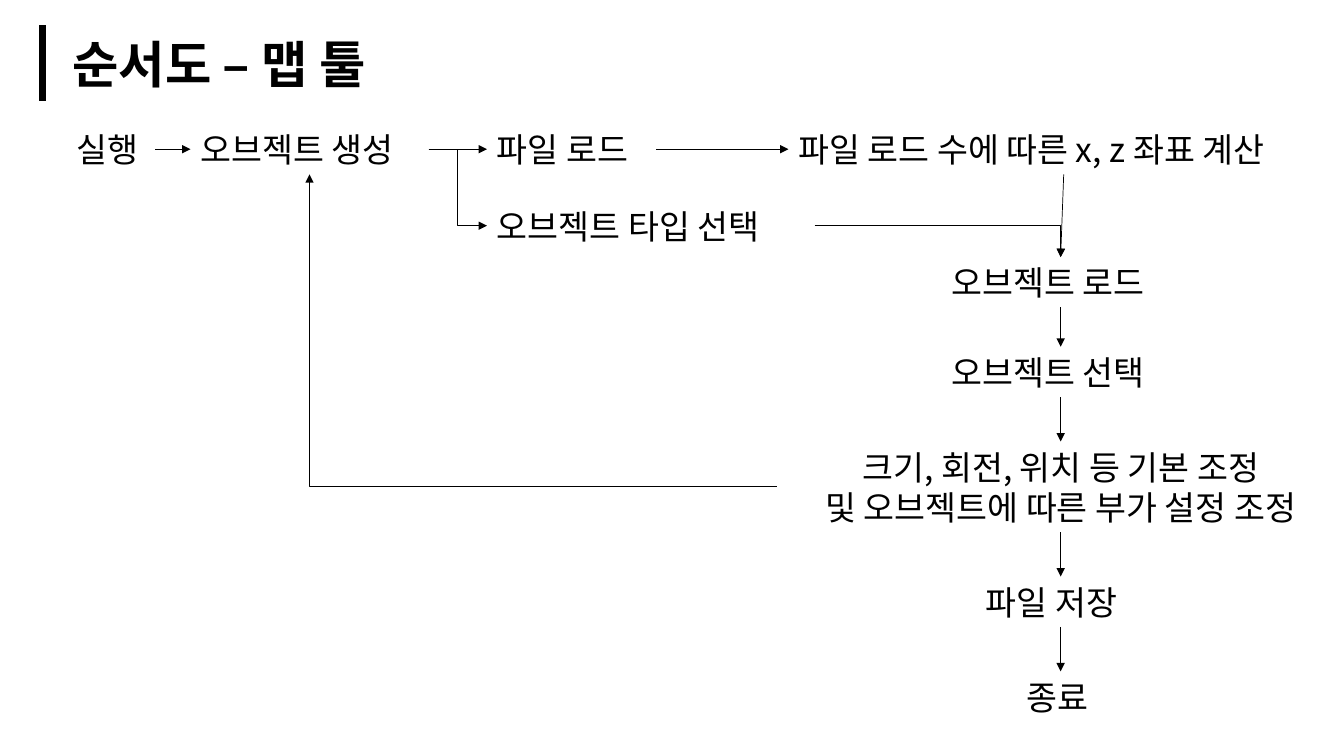
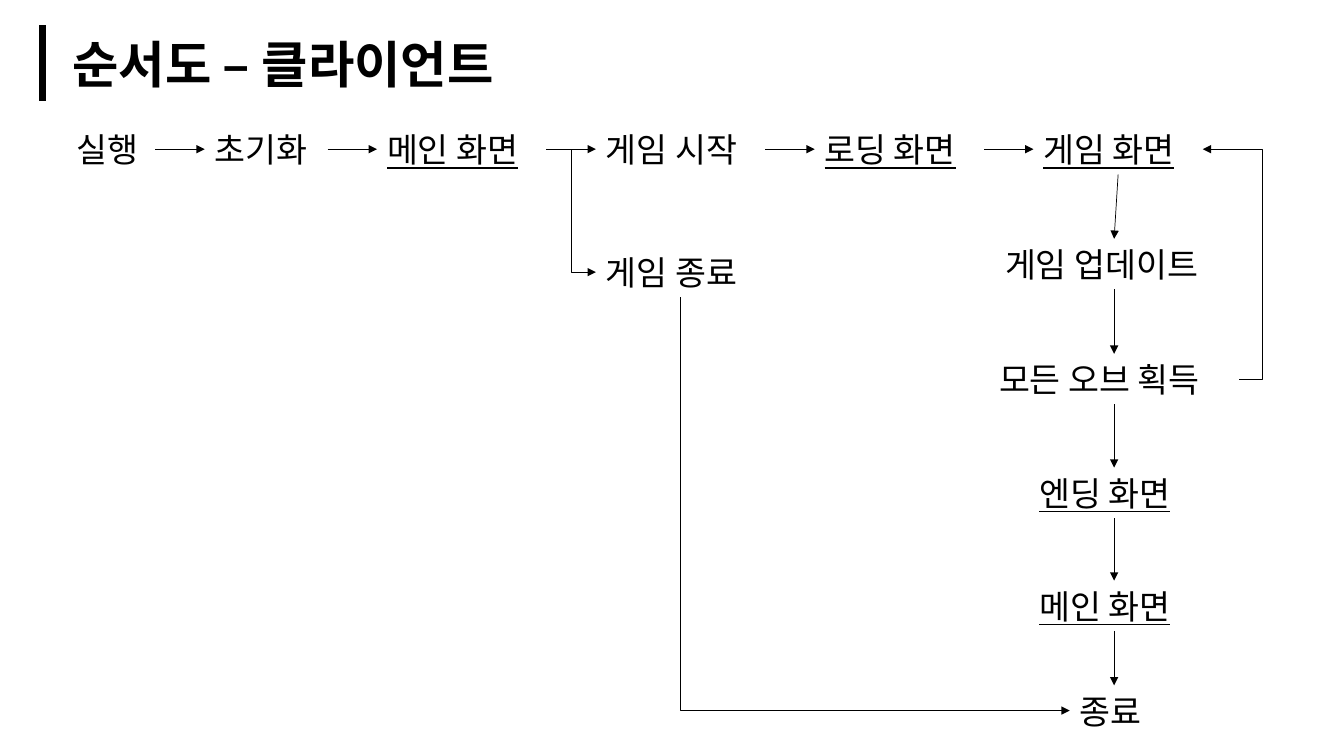
"""Build two flow chart slides that share one title style."""
import pptx
import pptx.util
import pptx.dml.color
import pptx.enum.shapes
import pptx.enum.text
import pptx.oxml
import pptx.oxml.ns

INK = {"text": "000000", "line": "000000", "back": "FFFFFF"}
TITLE = {"face": "Montserrat", "size": 36, "lead": 44, "bold": True}
BODY = {"face": "Noto Sans CJK KR", "size": 24, "lead": 29}
HANGUL = "Noto Sans CJK KR"
SIZE = (13.33, 7.5)
ROW_TOP, ROW_LEFT = 1.23, 0.66
PAD, LINE, GLYPH, SPACE = 0.1, 0.4, 0.34, 0.12
SIDES = {"top": 0, "left": 1, "bottom": 2, "right": 3}

SLIDES = [
    {
        "title": "순서도 – 맵 툴",
        "text": {
            "run": "실행", "make": "오브젝트 생성", "file": "파일 로드",
            "count": "파일 로드 수에 따른 x, z 좌표 계산", "type": "오브젝트 타입 선택",
            "load": "오브젝트 로드", "pick": "오브젝트 선택",
            "tune": "크기, 회전, 위치 등 기본 조정\n및 오브젝트에 따른 부가 설정 조정",
            "save": "파일 저장", "end": "종료",
        },
        "wide": {"count": 5.46, "type": 3.25, "tune": 5.63},
        "under": [],
        "row": ["run", "make", "file", "count"],
        "gaps": [0.35, 0.58, 1.31],
        "mid": 10.52,
        "column": {"load": 2.55, "pick": 3.44, "tune": 4.38, "save": 5.72, "end": 6.66},
        "branch": ("type", "file", 1.99),
        "links": [
            ("count", "bottom", "load", "top", {}),
            ("make", "right", "type", "left", {"bend": 3}),
            ("type", "right", "load", "top", {"bend": 2}),
            ("tune", "left", "make", "bottom", {"bend": 2}),
        ],
    },
    {
        "title": "순서도 – 클라이언트",
        "text": {
            "run": "실행", "init": "초기화", "main": "메인 화면", "start": "게임 시작",
            "wait": "로딩 화면", "game": "게임 화면", "quit": "게임 종료",
            "step": "게임 업데이트", "orbs": "모든 오브 획득", "last": "엔딩 화면",
            "home": "메인 화면", "end": "종료",
        },
        "wide": {},
        "under": ["main", "wait", "game", "last", "home"],
        "row": ["run", "init", "main", "start", "wait", "game"],
        "gaps": [0.49] * 5,
        "mid": 11.05,
        "column": {"step": 2.37, "orbs": 3.51, "last": 4.64, "home": 5.76, "end": 6.8},
        "branch": ("quit", "start", 2.45),
        "links": [
            ("game", "bottom", "step", "top", {}),
            ("main", "right", "quit", "left", {"bend": 3}),
            ("end", "left", "quit", "bottom", {"bend": 2, "tip": "headEnd"}),
            ("orbs", "right", "game", "right", {"bend": 3, "turn": -0.63}),
        ],
    },
]


def tint(name):
    return pptx.dml.color.RGBColor.from_string(INK[name])


def node(parent, tag, **values):
    """Add one drawing element below a parent."""
    child = pptx.oxml.parse_xml(f"<a:{tag} {pptx.oxml.ns.nsdecls('a')}/>")
    for key, value in values.items():
        child.set(key, value)
    parent.append(child)


def label(slide, words, spot, style, wrap=False, under=False):
    """Place a text box in one of the shared text styles."""
    box = slide.shapes.add_textbox(*map(pptx.util.Inches, spot))
    frame = box.text_frame
    frame.text = words
    look = {
        "word_wrap": wrap,
        "auto_size": pptx.enum.text.MSO_AUTO_SIZE.SHAPE_TO_FIT_TEXT,
        "vertical_anchor": pptx.enum.text.MSO_ANCHOR.MIDDLE,
    }
    for key, value in look.items():
        setattr(frame, key, value)
    align = pptx.enum.text.PP_ALIGN
    form = {
        "name": style["face"], "size": pptx.util.Pt(style["size"]),
        "bold": style.get("bold", False), "underline": under,
    }
    for para in frame.paragraphs:
        para.alignment = align.CENTER if "\n" in words else align.LEFT
        para.line_spacing = pptx.util.Pt(style["lead"])
        for run in para.runs:
            for key, value in form.items():
                setattr(run.font, key, value)
            run.font.color.rgb = tint("text")
            node(run.font._element, "ea", typeface=HANGUL)
    return box


def stroke(slide, ends, width, bend=0):
    """Draw a plain line or an elbow without a shadow."""
    kinds = pptx.enum.shapes.MSO_CONNECTOR
    kind = kinds.ELBOW if bend else kinds.STRAIGHT
    line = slide.shapes.add_connector(kind, *map(pptx.util.Inches, ends))
    line.line.color.rgb = tint("line")
    line.line.width = pptx.util.Pt(width)
    node(line._element.spPr, "effectLst")
    return line


def arrow(slide, first, out, second, into, bend=0, turn=None, tip="tailEnd"):
    """Glue an arrow to the sides of two boxes."""
    line = stroke(slide, (0, 0, 0, 0), 0.5, bend)
    line.begin_connect(first, SIDES[out])
    line.end_connect(second, SIDES[into])
    shape = line._element.spPr.prstGeom
    if bend:
        shape.set("prst", f"bentConnector{bend}")
    if turn is not None:
        node(shape.get_or_add_avLst(), "gd", name="adj1", fmla=f"val {round(turn * 100000)}")
    node(line.line._get_or_add_ln(), tip, type="triangle")


def place(plan):
    """Work out left, top, width and height of every step."""
    def span(key):
        words = plan["text"][key]
        gaps = words.count(" ")
        rule = 2 * PAD + GLYPH * (len(words) - gaps) + SPACE * gaps
        return plan["wide"].get(key, rule)

    def spot(key, left, top):
        rows = plan["text"][key].count("\n") + 1
        return left, top, span(key), PAD + LINE * rows

    spots, left = {}, ROW_LEFT
    for key, gap in zip(plan["row"], plan["gaps"] + [0]):
        spots[key] = spot(key, left, ROW_TOP)
        left += span(key) + gap
    for key, top in plan["column"].items():
        spots[key] = spot(key, plan["mid"] - span(key) / 2, top)
    key, above, top = plan["branch"]
    spots[key] = spot(key, spots[above][0], top)
    return spots


def draw(slide, plan):
    """Draw the title, the steps and the arrows of one slide."""
    slide.background.fill.solid()
    slide.background.fill.fore_color.rgb = tint("back")
    label(slide, plan["title"], (0.62, 0.27, 7.44, 0.71), TITLE, wrap=True)
    stroke(slide, (0.42, 0.25, 0.42, 1), 5)
    boxes = {
        key: label(slide, plan["text"][key], spot, BODY, under=key in plan["under"])
        for key, spot in place(plan).items()
    }
    for chain, out, into in (
        (plan["row"], "right", "left"), (list(plan["column"]), "bottom", "top"),
    ):
        for first, second in zip(chain, chain[1:]):
            arrow(slide, boxes[first], out, boxes[second], into)
    for first, out, second, into, form in plan["links"]:
        arrow(slide, boxes[first], out, boxes[second], into, **form)


def main():
    deck = pptx.Presentation()
    deck.slide_width, deck.slide_height = map(pptx.util.Inches, SIZE)
    for plan in SLIDES:
        draw(deck.slides.add_slide(deck.slide_layouts[6]), plan)
    deck.save("out.pptx")


if __name__ == "__main__":
    main()
